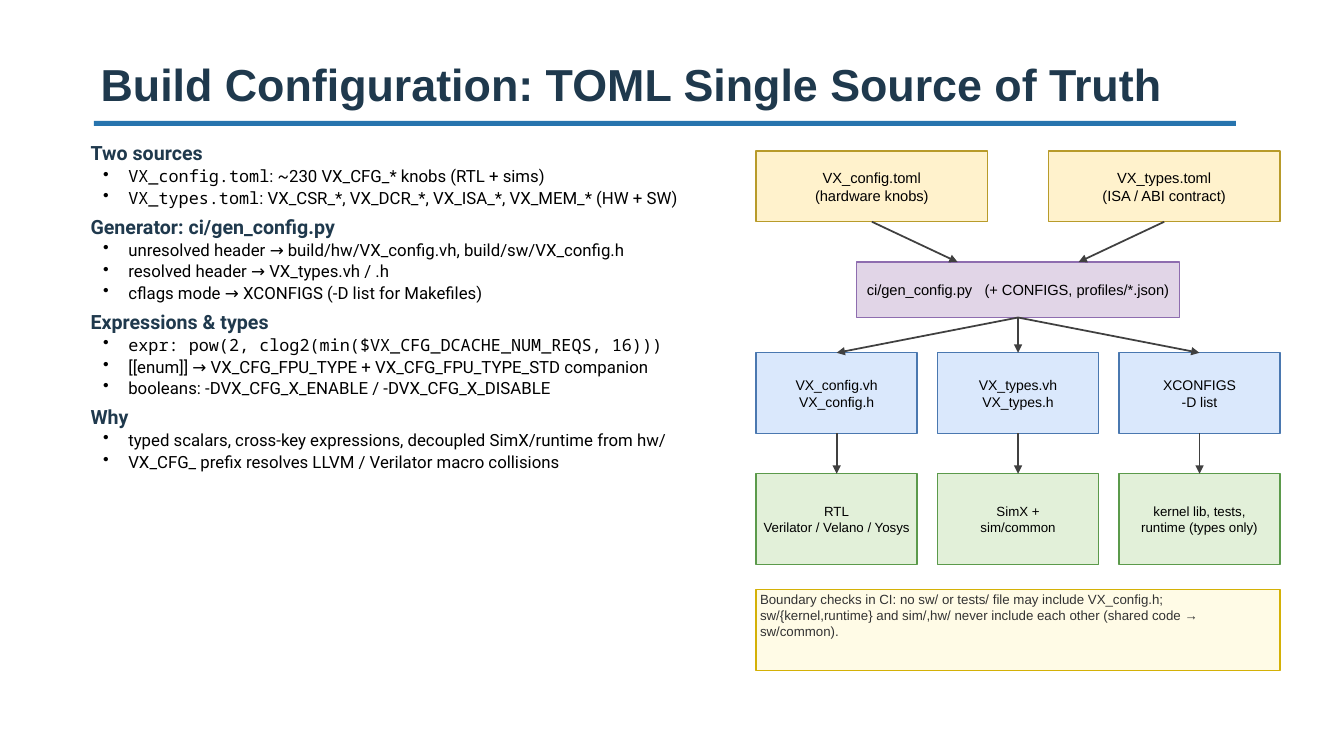
from dataclasses import dataclass

from lxml import etree
from pptx import Presentation
from pptx.dml.color import RGBColor
from pptx.enum.shapes import MSO_CONNECTOR, MSO_SHAPE
from pptx.enum.text import MSO_ANCHOR, PP_ALIGN
from pptx.oxml.ns import qn
from pptx.util import Pt

RECTANGLE = MSO_SHAPE.RECTANGLE
STRAIGHT = MSO_CONNECTOR.STRAIGHT
TOP, MIDDLE, BOTTOM = MSO_ANCHOR.TOP, MSO_ANCHOR.MIDDLE, MSO_ANCHOR.BOTTOM
LEFT, CENTER = PP_ALIGN.LEFT, PP_ALIGN.CENTER
TOP_SITE, BOTTOM_SITE = 0, 2


@dataclass(frozen=True)
class Theme:
    heading: str = "1F394D"
    text: str = "000000"
    note_text: str = "333333"
    rule: str = "2774AE"
    arrow: str = "404040"
    sans: str = "Arial"
    body: str = "Roboto"
    mono: str = "Noto Sans Mono"
    title_size: float = 32
    heading_size: float = 14
    bullet_size: float = 12
    source_size: float = 10.5
    output_size: float = 10
    small_size: float = 9.5
    line_width: float = 1
    arrow_width: float = 1.25


THEME = Theme()


@dataclass(frozen=True)
class Style:
    fill: str
    line: str
    size: float
    color: str = THEME.text
    align: int = CENTER
    anchor: int = MIDDLE


@dataclass(frozen=True)
class Box:
    left: float
    top: float
    width: float
    height: float
    lines: tuple
    style: Style


@dataclass(frozen=True)
class Section:
    heading: str
    bullets: tuple  # each bullet is a (monospaced part, plain part) pair


SOURCE = Style("FFF2CC", "B89B2A", THEME.source_size)
GENERATOR = Style("E1D5E7", "8E6DAF", THEME.source_size)
OUTPUT = Style("DAE8FC", "4A78B0", THEME.output_size)
CONSUMER = Style("E2F0D9", "5B9A4B", THEME.small_size)
NOTE = Style("FFFBE6", "D4B106", THEME.small_size, THEME.note_text, LEFT, TOP)

SECTIONS = (
    Section("Two sources", (
        ("VX_config.toml", ": ~230 VX_CFG_* knobs (RTL + sims)"),
        ("VX_types.toml", ": VX_CSR_*, VX_DCR_*, VX_ISA_*, VX_MEM_* (HW + SW)"))),
    Section("Generator: ci/gen_config.py", (
        ("", "unresolved header → build/hw/VX_config.vh, build/sw/VX_config.h"),
        ("", "resolved header → VX_types.vh / .h"),
        ("", "cflags mode → XCONFIGS (-D list for Makefiles)"))),
    Section("Expressions & types", (
        ("expr: pow(2, clog2(min($VX_CFG_DCACHE_NUM_REQS, 16)))", ""),
        ("", "[[enum]] → VX_CFG_FPU_TYPE + VX_CFG_FPU_TYPE_STD companion"),
        ("", "booleans: -DVX_CFG_X_ENABLE / -DVX_CFG_X_DISABLE"))),
    Section("Why", (
        ("", "typed scalars, cross-key expressions, decoupled SimX/runtime from hw/"),
        ("", "VX_CFG_ prefix resolves LLVM / Verilator macro collisions"))),
)

# Diagram grid
GRID_LEFT, GRID_WIDTH = 540, 374.4
SOURCE_WIDTH, COLUMN_WIDTH, COLUMN_STEP = 165.6, 115.2, 129.6
ENTRY_OFFSET = 43.2

SOURCE_TEXTS = (("VX_config.toml", "(hardware knobs)"),
                ("VX_types.toml", "(ISA / ABI contract)"))
OUTPUT_TEXTS = (("VX_config.vh", "VX_config.h"), ("VX_types.vh", "VX_types.h"),
                ("XCONFIGS", "-D list"))
CONSUMER_TEXTS = (("RTL", "Verilator / Velano / Yosys"), ("SimX +", "sim/common"),
                  ("kernel lib, tests,", "runtime (types only)"))
NOTE_TEXT = ("Boundary checks in CI: no sw/ or tests/ file may include VX_config.h; "
             "sw/{kernel,runtime} and sim/,hw/ never include each other "
             "(shared code → sw/common).")


def apply_format(target: object, values: dict) -> None:
    for name, value in values.items():
        setattr(target, name, value)


def set_frame(frame, anchor: int, side: float, edge: float) -> None:
    apply_format(frame, {
        "word_wrap": True, "vertical_anchor": anchor,
        "margin_left": Pt(side), "margin_right": Pt(side),
        "margin_top": Pt(edge), "margin_bottom": Pt(edge)})


def add_run(paragraph, text: str, font: str, size: float, color: str, bold: bool = False):
    run = paragraph.add_run()
    run.text = text
    apply_format(run.font, {"name": font, "size": Pt(size), "bold": bold})
    run.font.color.rgb = RGBColor.from_string(color)
    return run


def next_paragraph(frame, index: int):
    return frame.add_paragraph() if index else frame.paragraphs[0]


def add_rectangle(slide, left: float, top: float, width: float, height: float, fill: str):
    shape = slide.shapes.add_shape(RECTANGLE, Pt(left), Pt(top), Pt(width), Pt(height))
    shape.shadow.inherit = False
    shape.fill.solid()
    shape.fill.fore_color.rgb = RGBColor.from_string(fill)
    shape.line.fill.background()
    return shape


def add_box(slide, box: Box):
    style = box.style
    shape = add_rectangle(slide, box.left, box.top, box.width, box.height, style.fill)
    shape.line.color.rgb = RGBColor.from_string(style.line)
    shape.line.width = Pt(THEME.line_width)
    set_frame(shape.text_frame, style.anchor, 2.88, 1.44)
    for index, line in enumerate(box.lines):
        paragraph = next_paragraph(shape.text_frame, index)
        paragraph.alignment = style.align
        add_run(paragraph, line, THEME.sans, style.size, style.color)
    return shape


def add_arrow(slide, start, end=None, end_point: tuple = (0, 0)) -> None:
    x, y = end_point
    arrow = slide.shapes.add_connector(STRAIGHT, Pt(x), Pt(y), Pt(x), Pt(y))
    arrow.begin_connect(start, BOTTOM_SITE)
    if end is not None:
        arrow.end_connect(end, TOP_SITE)
    arrow.line.color.rgb = RGBColor.from_string(THEME.arrow)
    arrow.line.width = Pt(THEME.arrow_width)
    etree.SubElement(arrow.line._get_or_add_ln(), qn("a:tailEnd"), type="triangle")
    etree.SubElement(arrow._element.spPr, qn("a:effectLst"))


def add_title(slide, text: str) -> None:
    add_rectangle(slide, 67, 86.4, 815.8, 3.6, THEME.rule)
    frame = slide.shapes.add_textbox(Pt(64.8), Pt(18), Pt(799.2), Pt(64.8)).text_frame
    set_frame(frame, BOTTOM, 7.2, 3.6)
    add_run(frame.paragraphs[0], text, THEME.sans, THEME.title_size, THEME.heading, True)


def add_sections(slide, sections: tuple) -> None:
    frame = slide.shapes.add_textbox(Pt(57.6), Pt(97.2), Pt(460.8), Pt(388.8)).text_frame
    set_frame(frame, TOP, 7.2, 3.6)
    for index, section in enumerate(sections):
        paragraph = next_paragraph(frame, index)
        paragraph.space_before = Pt(5 if index else 0)
        add_run(paragraph, section.heading, THEME.body, THEME.heading_size, THEME.heading, True)
        for parts in section.bullets:
            paragraph = frame.add_paragraph()
            apply_format(paragraph, {"level": 1, "space_before": Pt(1)})
            properties = paragraph._p.get_or_add_pPr()
            properties.set("marL", str(Pt(27)))
            properties.set("indent", str(Pt(-18)))
            etree.SubElement(properties, qn("a:buChar"), char="•")
            for text, font in zip(parts, (THEME.mono, THEME.body)):
                if text:
                    add_run(paragraph, text, font, THEME.bullet_size, THEME.text)


def add_diagram(slide) -> None:
    # Source files and the generator they feed
    source_step = GRID_WIDTH - SOURCE_WIDTH
    sources = [add_box(slide, Box(GRID_LEFT + i * source_step, 108, SOURCE_WIDTH, 50.4, text, SOURCE))
               for i, text in enumerate(SOURCE_TEXTS)]
    generator = add_box(slide, Box(612, 187.2, 230.4, 39.6, ("ci/gen_config.py",), GENERATOR))
    paragraph = generator.text_frame.paragraphs[0]
    gap = add_run(paragraph, " ", THEME.sans, GENERATOR.size, GENERATOR.color)
    gap._r.get_or_add_rPr().set("spc", "580")
    add_run(paragraph, "(+ CONFIGS, profiles/*.json)", THEME.sans, GENERATOR.size, GENERATOR.color)
    center = GRID_LEFT + GRID_WIDTH / 2
    for source, offset in zip(sources, (-ENTRY_OFFSET, ENTRY_OFFSET)):
        add_arrow(slide, source, end_point=(center + offset, 187.2))

    # Generated outputs, each above its consumer
    for i, (output_text, consumer_text) in enumerate(zip(OUTPUT_TEXTS, CONSUMER_TEXTS)):
        left = GRID_LEFT + i * COLUMN_STEP
        output = add_box(slide, Box(left, 252, COLUMN_WIDTH, 57.6, output_text, OUTPUT))
        consumer = add_box(slide, Box(left, 338.4, COLUMN_WIDTH, 64.8, consumer_text, CONSUMER))
        add_arrow(slide, generator, output)
        add_arrow(slide, output, consumer)

    # Boundary note
    add_box(slide, Box(GRID_LEFT, 421.2, GRID_WIDTH, 57.6, (NOTE_TEXT,), NOTE))


def main() -> None:
    presentation = Presentation()
    apply_format(presentation, {"slide_width": Pt(960), "slide_height": Pt(540)})
    slide = presentation.slides.add_slide(presentation.slide_layouts[6])
    add_title(slide, "Build Configuration: TOML Single Source of Truth")
    add_sections(slide, SECTIONS)
    add_diagram(slide)
    presentation.save("out.pptx")


if __name__ == "__main__":
    main()
